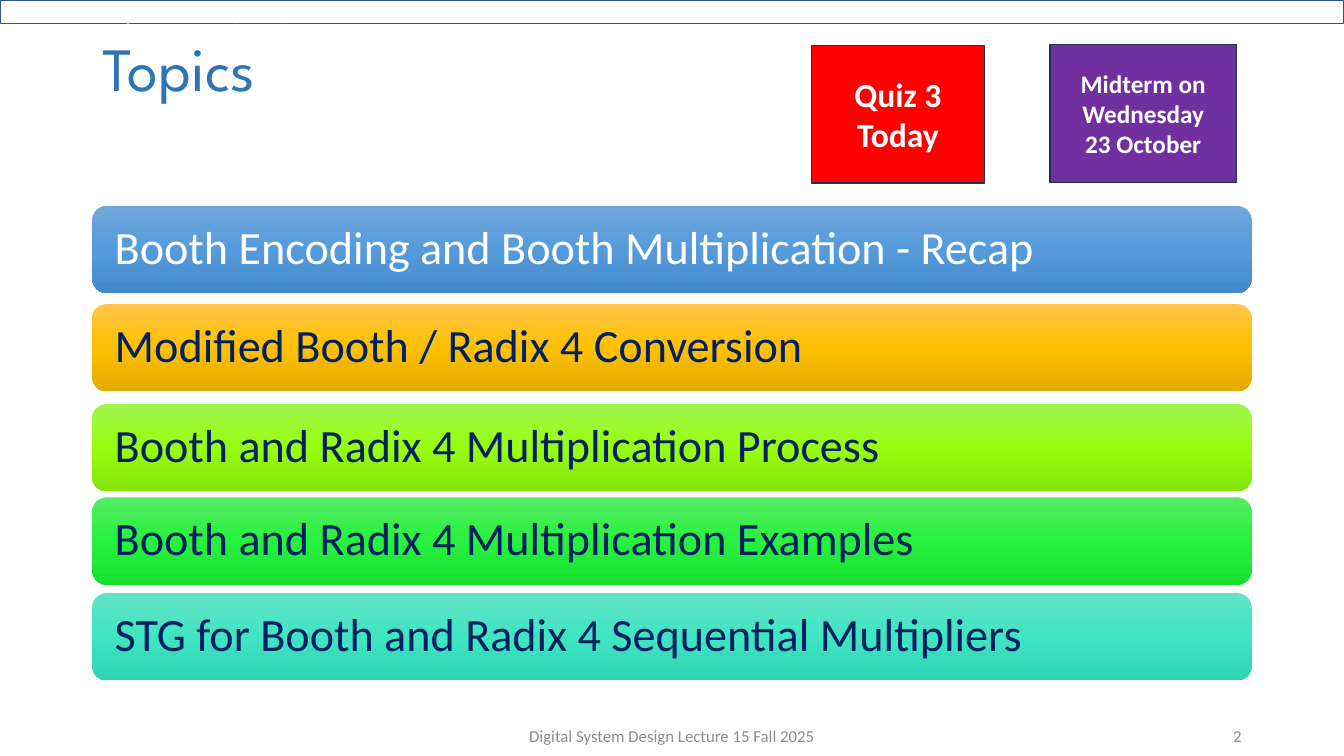
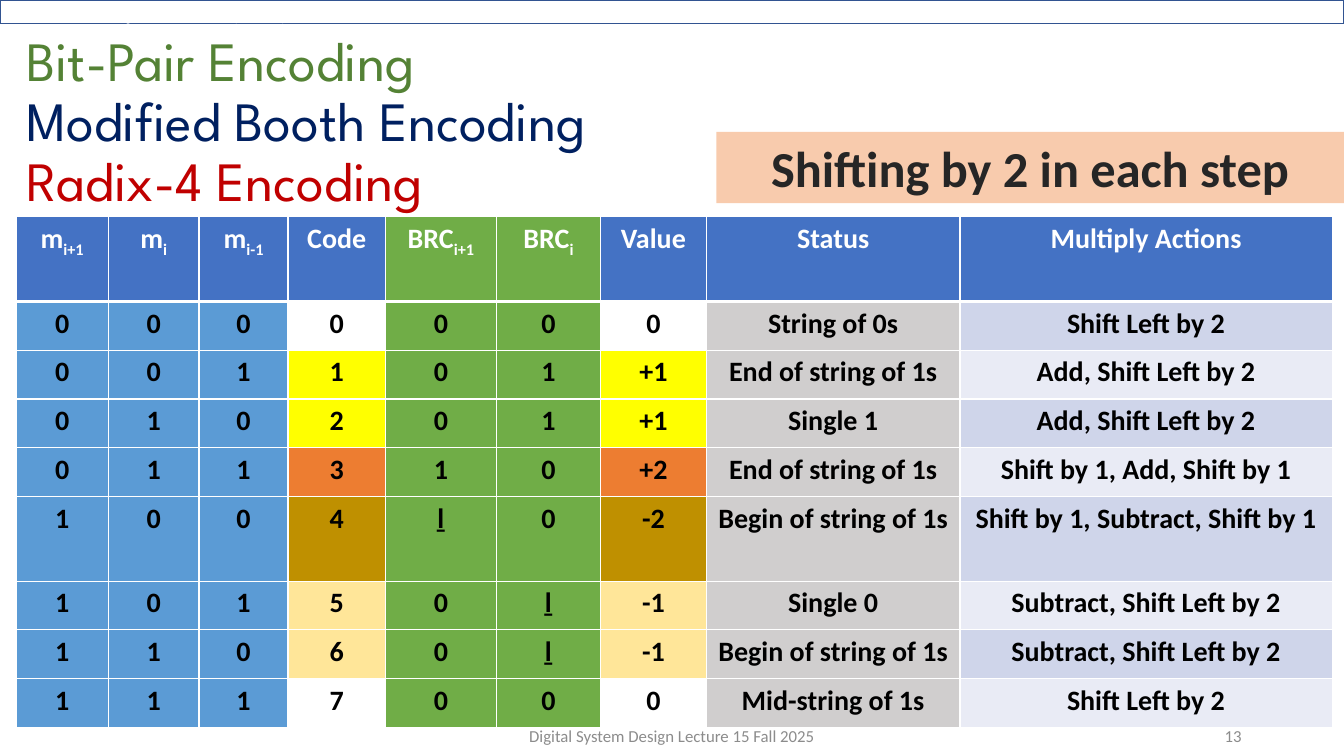
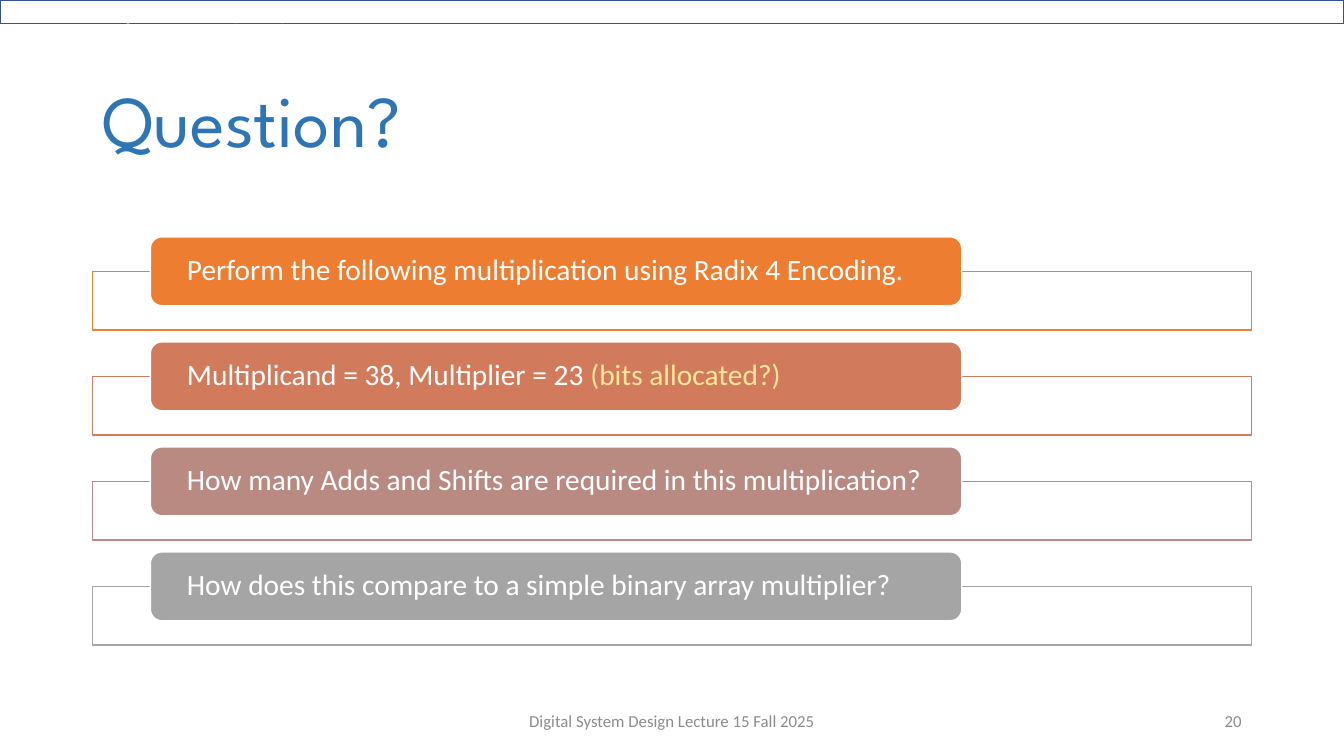
from dataclasses import dataclass
from typing import NamedTuple, Sequence

from lxml.etree import SubElement as Sub
from pptx import Presentation
from pptx.dml.color import RGBColor as Rgb
from pptx.enum.shapes import MSO_SHAPE as Kind
from pptx.enum.text import MSO_ANCHOR as Anchor, MSO_AUTO_SIZE as Fit, PP_ALIGN as Align
from pptx.oxml import parse_xml
from pptx.oxml.ns import nsdecls, qn
from pptx.util import Emu, Inches, Pt

CELL = Inches(7.5) / 9
COLS, ROWS = 16, 9


@dataclass(frozen=True)
class Theme:
    body: str = "Calibri"
    head: str = "League Spartan"
    white: str = "FFFFFF"
    black: str = "000000"
    navy: str = "002060"
    title: str = "2E75B6"
    moss: str = "548235"
    crimson: str = "C00000"
    grey: str = "8C8C8C"
    edge: str = "1E3256"
    rim: str = "325491"
    red: str = "FF0000"
    purple: str = "7030A0"
    peach: str = "F8CBAD"
    ink: str = "262626"
    royal: str = "4472C4"
    blue: str = "5B9BD5"
    green: str = "70AD47"
    silver: str = "D0CECE"
    yellow: str = "FFFF00"
    orange: str = "ED7D31"
    gold: str = "BF9000"
    cream: str = "FFE699"
    stripes: tuple = ("CFD5EA", "E9EBF5")
    small: float = 12
    strip: float = 16
    note: float = 18
    cell: float = 20
    pill: float = 21
    card: float = 24
    bar: float = 33
    call: float = 36


T = Theme()


class Box(NamedTuple):
    x: float
    y: float
    w: float
    h: float


class Type(NamedTuple):
    size: float
    color: str
    bold: bool = False
    align: Align = Align.LEFT
    font: str = T.body
    space: float = 1


class Stop(NamedTuple):
    place: int
    color: str
    alpha: int = 100


class Bar(NamedTuple):
    top: float
    text: str
    ink: str
    shades: tuple


class Card(NamedTuple):
    box: Box
    text: str
    fill: str
    size: float


class Pill(NamedTuple):
    text: str
    fill: str
    note: str = ""


class Code(NamedTuple):
    high: str
    low: str
    value: str
    status: str
    act: str
    fill: str


BAND = (Stop(2, "ABC0E4"), Stop(38, T.navy), Stop(93, "7E9ED6", 64))
BARS = (
    Bar(2.45, "Booth Encoding and Booth Multiplication - Recap", T.white, ("71A6DB", "559BDB", "448ACA")),
    Bar(3.62, "Modified Booth / Radix 4 Conversion", T.navy, ("FFC64B", "FFC000", "E3AB00")),
    Bar(4.81, "Booth and Radix 4 Multiplication Process", T.navy, ("A0F74E", "96FE0E", "85E509")),
    Bar(5.92, "Booth and Radix 4 Multiplication Examples", T.navy, ("56EC62", "27F13E", "18E02F")),
    Bar(7.06, "STG for Booth and Radix 4 Sequential Multipliers", T.navy, ("63E3C6", "3FE5C3", "2FD4B2")),
)
CARDS = (
    Card(Box(12.5, 0.53, 2.22, 1.64), "Midterm on Wednesday\n23 October", T.purple, T.note),
    Card(Box(9.66, 0.54, 2.06, 1.64), "Quiz 3\nToday", T.red, T.card),
)
HEADS = ("m_i+1", "m_i", "m_i-1", "Code", "BRC_i+1", "BRC_i", "Value", "Status", "Multiply Actions")
WIDTHS = (1.1, 1.08, 1.06, 1.16, 1.32, 1.24, 1.26, 3.02, 4.43)
HEIGHTS = (1.01, 0.58, 0.58, 0.58, 0.58, 1.01, 0.58, 0.58, 0.58)
CODES = (
    Code("0", "0", "0", "String of 0s", "Shift Left by 2", T.white),
    Code("0", "1", "+1", "End of string of 1s", "Add, Shift Left by 2", T.yellow),
    Code("0", "1", "+1", "Single 1", "Add, Shift Left by 2", T.yellow),
    Code("1", "0", "+2", "End of string of 1s", "Shift by 1, Add, Shift by 1", T.orange),
    Code("ḻ", "0", "-2", "Begin of string of 1s", "Shift by 1, Subtract, Shift by 1", T.gold),
    Code("0", "ḻ", "-1", "Single 0", "Subtract, Shift Left by 2", T.cream),
    Code("0", "ḻ", "-1", "Begin of string of 1s", "Subtract, Shift Left by 2", T.cream),
    Code("0", "0", "0", "Mid-string of 1s", "Shift Left by 2", T.white),
)
PILLS = (
    Pill("Perform the following multiplication using Radix 4 Encoding.", T.orange),
    Pill("Multiplicand = 38, Multiplier = 23 ", "D17B5C", "(bits allocated?)"),
    Pill("How many Adds and Shifts are required in this multiplication?", "B98A82"),
    Pill("How does this compare to a simple binary array multiplier?", "A5A5A5"),
)


def grid(count: float) -> Emu:
    return Emu(round(count * CELL))


def tint(run, color: str) -> None:
    run.font.color.rgb = Rgb.from_string(color)


def style(frame, kind: Type) -> None:
    for para in frame.paragraphs:
        para.alignment = kind.align
        para.line_spacing = kind.space
        for run in para.runs:
            run.font.name = kind.font
            run.font.size = Pt(kind.size)
            run.font.bold = kind.bold
            tint(run, kind.color)


def write(shape, text: str, kind: Type, inset: float = 0.1) -> None:
    frame = shape.text_frame
    frame.word_wrap = True
    frame.auto_size = Fit.NONE
    frame.vertical_anchor = Anchor.MIDDLE
    frame.margin_left = frame.margin_right = Inches(inset)
    frame.text = text
    style(frame, kind)


def block(slide, kind: Kind, box: Box, fill: str = "", line: str = ""):
    shape = slide.shapes.add_shape(kind, *map(grid, box))
    shape.shadow.inherit = False
    if fill:
        shape.fill.solid()
        shape.fill.fore_color.rgb = Rgb.from_string(fill)
    if line:
        shape.line.color.rgb = Rgb.from_string(line)
        shape.line.width = Pt(1)
    else:
        shape.line.fill.background()
    return shape


def blend(shape, stops: Sequence[Stop]) -> None:
    shape.fill.gradient()
    shape.fill.gradient_angle = 270
    ramp = shape._element.spPr.find(".//" + qn("a:gsLst"))
    for old in list(ramp):
        ramp.remove(old)
    for stop in stops:
        mark = Sub(ramp, qn("a:gs"), pos=str(stop.place * 1000))
        shade = Sub(mark, qn("a:srgbClr"), val=stop.color)
        if stop.alpha < 100:
            Sub(shade, qn("a:alpha"), val=str(stop.alpha * 1000))


def label(slide, box: Box, text: str, kind: Type) -> None:
    write(slide.shapes.add_textbox(*map(grid, box)), text, kind)


def start(deck, title: str, box: Box, size: float, page: int, foot: float):
    slide = deck.slides.add_slide(deck.slide_layouts[5])
    head = slide.shapes.title
    head.left, head.top, head.width, head.height = map(grid, box)
    write(head, title, Type(size, T.title, font=T.head, space=0.9))
    band = block(slide, Kind.RECTANGLE, Box(0, 0, COLS, 0.28), line=T.rim)
    blend(band, BAND)
    write(band, "Embedded Systems Lab (EESL)", Type(T.strip, T.white, True))
    label(slide, Box(5.3, foot, 5.4, 0.48), "Digital System Design Lecture 15 Fall 2025",
          Type(T.small, T.grey, align=Align.CENTER))
    label(slide, Box(11.3, foot, 3.6, 0.48), str(page), Type(T.small, T.grey, align=Align.RIGHT))
    return slide


def edge(cell, first: bool, second: bool) -> None:
    props = cell._tc.get_or_add_tcPr()
    for spot, side in enumerate("LRTB"):
        thick = (first and side == "B") or (second and side == "T")
        props.insert(spot, parse_xml(
            f'<a:ln{side} {nsdecls("a")} w="{Pt(3 if thick else 1)}"><a:solidFill>'
            f'<a:srgbClr val="{T.white}"/></a:solidFill></a:ln{side}>'))


def fill_cell(cell, text: str, fill: str, row: int) -> None:
    base, _, sub = text.partition("_")
    cell.text_frame.text = base
    if sub:
        tail = cell.text_frame.paragraphs[0].add_run()
        tail.text = sub
        tail._r.get_or_add_rPr().set("baseline", "-25000")
    style(cell.text_frame, Type(T.cell, T.black if row else T.white, True, Align.CENTER))
    cell.fill.solid()
    cell.fill.fore_color.rgb = Rgb.from_string(fill)
    edge(cell, row == 0, row == 1)


def chart_codes(slide) -> None:
    box = Box(0.19, 2.58, sum(WIDTHS), sum(HEIGHTS))
    table = slide.shapes.add_table(len(HEIGHTS), len(WIDTHS), *map(grid, box)).table
    table.horz_banding = False
    for col, width in zip(table.columns, WIDTHS):
        col.width = grid(width)
    for row, height in zip(table.rows, HEIGHTS):
        row.height = grid(height)
    lines = [(HEADS, [T.green if name.startswith("BRC") else T.royal for name in HEADS])]
    for num, code in enumerate(CODES):
        words = (*f"{num:03b}", str(num), code.high, code.low, code.value, code.status, code.act)
        fills = [T.blue] * 3 + [code.fill, T.green, T.green, code.fill, T.silver, T.stripes[num % 2]]
        lines.append((words, fills))
    for row, (words, fills) in enumerate(lines):
        for col, (word, fill) in enumerate(zip(words, fills)):
            fill_cell(table.cell(row, col), word, fill, row)


def topics(deck) -> None:
    slide = start(deck, "Topics", Box(1.1, 0.18, 13.8, 1.34), 44, 2, 8.52)
    for bar in BARS:
        shape = block(slide, Kind.ROUNDED_RECTANGLE, Box(1.1, bar.top, 13.8, 1.04))
        blend(shape, [Stop(50 * i, shade) for i, shade in enumerate(bar.shades)])
        write(shape, bar.text, Type(T.bar, bar.ink, space=0.9), 0.18)
    for card in CARDS:
        shape = block(slide, Kind.RECTANGLE, card.box, card.fill, T.edge)
        write(shape, card.text, Type(card.size, T.white, True, Align.CENTER))


def coding(deck) -> None:
    title = "Bit-Pair Encoding\nModified Booth Encoding\nRadix-4 Encoding"
    slide = start(deck, title, Box(0.19, 0.38, 13.06, 2.18), 39.6, 13, 8.52)
    paras = slide.shapes.title.text_frame.paragraphs
    for para, color in zip(paras, (T.moss, T.navy, T.crimson)):
        tint(para.runs[0], color)
    chart_codes(slide)
    call = block(slide, Kind.RECTANGLE, Box(8.53, 1.57, 7.47, 0.85), T.peach)
    write(call, "Shifting by 2 in each step", Type(T.call, T.ink, True, Align.CENTER))


def question(deck) -> None:
    slide = start(deck, "Question?", Box(1.1, 0.73, 13.8, 1.49), 52, 20, 8.34)
    kind = Type(T.pill, T.white, space=0.9)
    for i, pill in enumerate(PILLS):
        top = 2.82 + 1.25 * i
        block(slide, Kind.RECTANGLE, Box(1.1, top + 0.41, 13.8, 0.7), T.white, pill.fill)
        shape = block(slide, Kind.ROUNDED_RECTANGLE, Box(1.79, top, 9.66, 0.82), pill.fill, T.white)
        write(shape, pill.text, kind, 0.33)
        if pill.note:
            note = shape.text_frame.paragraphs[0].add_run()
            note.text = pill.note
            style(shape.text_frame, kind)
            tint(note, T.cream)


def main() -> None:
    deck = Presentation()
    deck.slide_width, deck.slide_height = grid(COLS), grid(ROWS)
    topics(deck)
    coding(deck)
    question(deck)
    deck.save("out.pptx")


if __name__ == "__main__":
    main()
